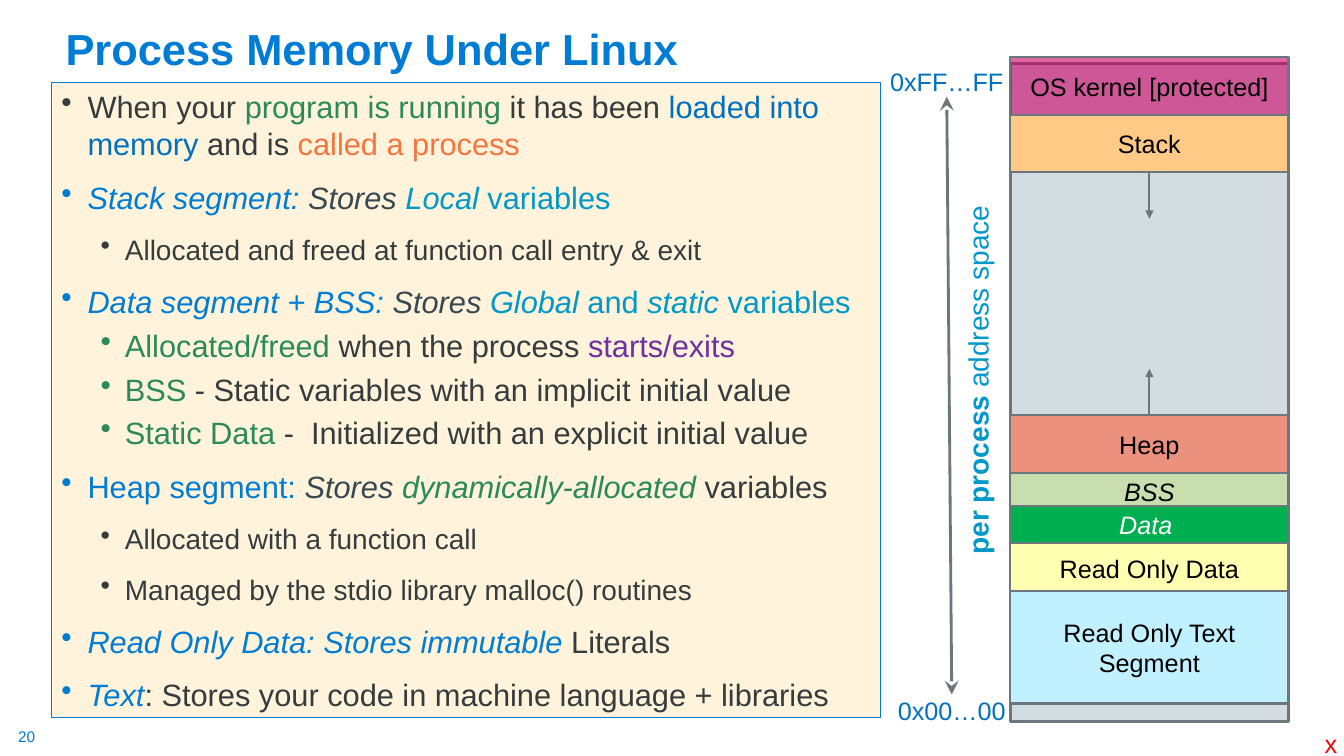
import pptx
import pptx.dml.color
import pptx.enum.shapes
import pptx.enum.text
import pptx.oxml
import pptx.oxml.ns
import pptx.util
from lxml import etree

Inches, Pt = pptx.util.Inches, pptx.util.Pt
RGB = pptx.dml.color.RGBColor.from_string
qn = pptx.oxml.ns.qn
ALIGN = pptx.enum.text.PP_ALIGN
ANCHOR = pptx.enum.text.MSO_ANCHOR
RECTANGLE = pptx.enum.shapes.MSO_SHAPE.RECTANGLE
STRAIGHT = pptx.enum.shapes.MSO_CONNECTOR.STRAIGHT

COLORS = {
    "blue": "007CD5", "link": "0070C0", "teal": "0098C9", "green": "2C895B",
    "orange": "F3753F", "purple": "7030A0", "dark": "363B3E", "slate": "384851",
    "cream": "FFF4DB", "line": "6B767D", "free": "D3DCE1", "kernel": "CC0066",
    "stack": "FFCA86", "heap": "ED917F", "bss": "C9DEAE", "data": "00B050",
    "constants": "FFFFB2", "code": "C1F0FF", "black": "000000",
    "white": "FFFFFF", "red": "FF0000",
}


def add_box(left, top, width, height, fill, line=None, line_width=1.5):
    """Add a filled rectangle without shadow, outlined if a line color is given."""
    box = page.shapes.add_shape(
        RECTANGLE, Inches(left), Inches(top), Inches(width), Inches(height))
    box.shadow.inherit = False
    box.fill.solid()
    box.fill.fore_color.rgb = RGB(COLORS[fill])
    if line:
        box.line.color.rgb = RGB(COLORS[line])
        box.line.width = Pt(line_width)
    else:
        box.line.fill.background()
    return box


def write(box, runs, size=18, align=ALIGN.CENTER, first=True):
    """Write one paragraph from (text, color, style) runs; style is "", "b" or "i"."""
    frame = box.text_frame
    para = frame.paragraphs[0] if first else frame.add_paragraph()
    para.alignment = align
    para.font.name = "Arial"
    para.font.size = Pt(size)
    for text, color, style in runs:
        span = para.add_run()
        span.text = text
        span.font.color.rgb = RGB(COLORS[color])
        span.font.bold = style == "b"
        span.font.italic = style == "i"
    return para


deck = pptx.Presentation()
deck.slide_width, deck.slide_height = Inches(13.33), Inches(7.5)
page = deck.slides.add_slide(deck.slide_layouts[5])

# Title
title = page.shapes.title
title.left, title.top = Inches(0.55), Inches(0.13)
title.width, title.height = Inches(11.5), Inches(0.66)
title.text_frame.vertical_anchor = ANCHOR.BOTTOM
heading = write(title, [("Process Memory Under Linux", "blue", "b")], 31, ALIGN.LEFT)
heading.line_spacing = 0.9

# Explanation: level, size, space before, runs
points = [
    (0, 22, 0, [("When your ", "dark", ""), ("program is running ", "green", ""),
                ("it has been ", "dark", ""), ("loaded into memory ", "link", ""),
                ("and is ", "dark", ""), ("called a process", "orange", "")]),
    (0, 22, 12, [("Stack segment: ", "blue", "i"), ("Stores ", "slate", "i"),
                 ("Local ", "teal", "i"), ("variables", "teal", "")]),
    (1, 20, 12, [("Allocated and freed at function call entry & exit", "dark", "")]),
    (0, 22, 12, [("Data segment + BSS: ", "blue", "i"), ("Stores ", "slate", "i"),
                 ("Global", "teal", "i"), (" and ", "teal", ""),
                 ("static ", "teal", "i"), ("variables", "teal", "")]),
    (1, 22, 5, [("Allocated/freed ", "green", ""), ("when the process ", "dark", ""),
                ("starts/exits", "purple", "")]),
    (1, 22, 5, [("BSS", "green", ""),
                (" - Static variables with an implicit initial value", "dark", "")]),
    (1, 22, 5, [("Static Data ", "green", ""),
                ("-  Initialized with an explicit initial value", "dark", "")]),
    (0, 22, 12, [("Heap segment: ", "blue", ""), ("Stores", "slate", "i"),
                 (" dynamically-allocated ", "green", "i"), ("variables", "dark", "")]),
    (1, 20, 12, [("Allocated with a function call", "dark", "")]),
    (1, 20, 12, [("Managed by the stdio library malloc() routines", "dark", "")]),
    (0, 22, 12, [("Read Only Data: Stores immutable ", "blue", "i"),
                 ("Literals", "dark", "")]),
    (0, 22, 12, [("Text", "blue", "i"),
                 (": Stores your code in machine language + libraries", "dark", "")]),
]
INDENTS = [(0.26, -0.26), (0.63, -0.24)]
body = add_box(0.51, 0.82, 8.22, 6.3, "cream", "blue", 0.75)
body.text_frame.word_wrap = True
body.text_frame.vertical_anchor = ANCHOR.TOP
for number, (level, size, gap, runs) in enumerate(points):
    para = write(body, runs, size, ALIGN.LEFT, first=number == 0)
    para.level = level
    para.space_before = Pt(gap)
    properties = para._p.get_or_add_pPr()
    margin, hanging = INDENTS[level]
    properties.set("marL", str(Inches(margin)))
    properties.set("indent", str(Inches(hanging)))
    bullet = etree.Element(qn("a:buChar"), char="•")
    properties.find(qn("a:defRPr")).addprevious(bullet)

# Memory map, the free space behind the segments
MAP_LEFT, MAP_WIDTH = 10.02, 2.76
add_box(MAP_LEFT, 0.63, MAP_WIDTH, 6.53, "free", "line", 2)
segments = [
    ("OS kernel [protected]", 0.57, 0.57, "kernel", "black", ""),
    ("Stack", 1.14, 0.57, "stack", "black", ""),
    ("Heap", 4.12, 0.57, "heap", "black", ""),
    ("BSS", 4.69, 0.37, "bss", "black", "i"),
    ("Read Only Data", 5.38, 0.52, "constants", "black", ""),
    ("Read Only Text Segment", 5.86, 1.12, "code", "black", ""),
    ("Data ", 5.02, 0.37, "data", "white", "i"),
]
for name, top, height, fill, color, style in segments:
    segment = add_box(MAP_LEFT, top, MAP_WIDTH, height, fill, "line")
    segment.text_frame.word_wrap = True
    segment.text_frame.vertical_anchor = ANCHOR.MIDDLE
    write(segment, [(name, color, style)])
    if fill == "kernel":
        shade = segment.fill._xPr.find(qn("a:solidFill"))[0]
        etree.SubElement(shade, qn("a:alpha"), val="60000")

# Arrows: start, end, width, head size, heads in schema order
arrows = [
    ((9.39, 0.96), (9.44, 6.89), 2, "lg", {"headEnd": "stealth", "tailEnd": "stealth"}),
    ((11.4, 1.71), (11.4, 2.17), 1.5, "med", {"tailEnd": "triangle"}),
    ((11.4, 3.66), (11.4, 4.12), 1.5, "med", {"headEnd": "triangle"}),
]
for start, end, width, head_size, heads in arrows:
    arrow = page.shapes.add_connector(
        STRAIGHT, *[Inches(value) for value in start + end])
    arrow.line.color.rgb = RGB(COLORS["line"])
    arrow.line.width = Pt(width)
    for tag, kind in heads.items():
        etree.SubElement(arrow.line._get_or_add_ln(), qn("a:" + tag),
                         type=kind, w=head_size, len=head_size)
    etree.SubElement(arrow._element.spPr, qn("a:effectLst"))

# Address space label, reading upwards
space = add_box(7.57, 3.55, 4.25, 0.44, "white")
space.rotation = 270
write(space, [("per process ", "teal", "b"), ("address space", "teal", "")], 20)

# Small labels: text, place, side inset, size, color, alignment
labels = [
    ("0xFF…FF", (8.69, 0.66, 1.4, 0.3), 0.1, 18, "link", ALIGN.CENTER),
    ("0x00…00", (8.79, 6.9, 1.3, 0.3), 0.1, 18, "link", ALIGN.CENTER),
    ("20", (0.18, 7.21, 0.19, 0.19), 0, 11, "blue", ALIGN.LEFT),
    ("x", (13.04, 7.23, 0.29, 0.27), 0.1, 18, "red", ALIGN.LEFT),
]
for text, place, inset, size, color, align in labels:
    label = page.shapes.add_textbox(*[Inches(value) for value in place])
    frame = label.text_frame
    frame.word_wrap = align == ALIGN.CENTER
    frame.margin_left = frame.margin_right = Inches(inset)
    frame.margin_top = frame.margin_bottom = 0
    write(label, [(text, color, "")], size, align)

deck.save("out.pptx")
